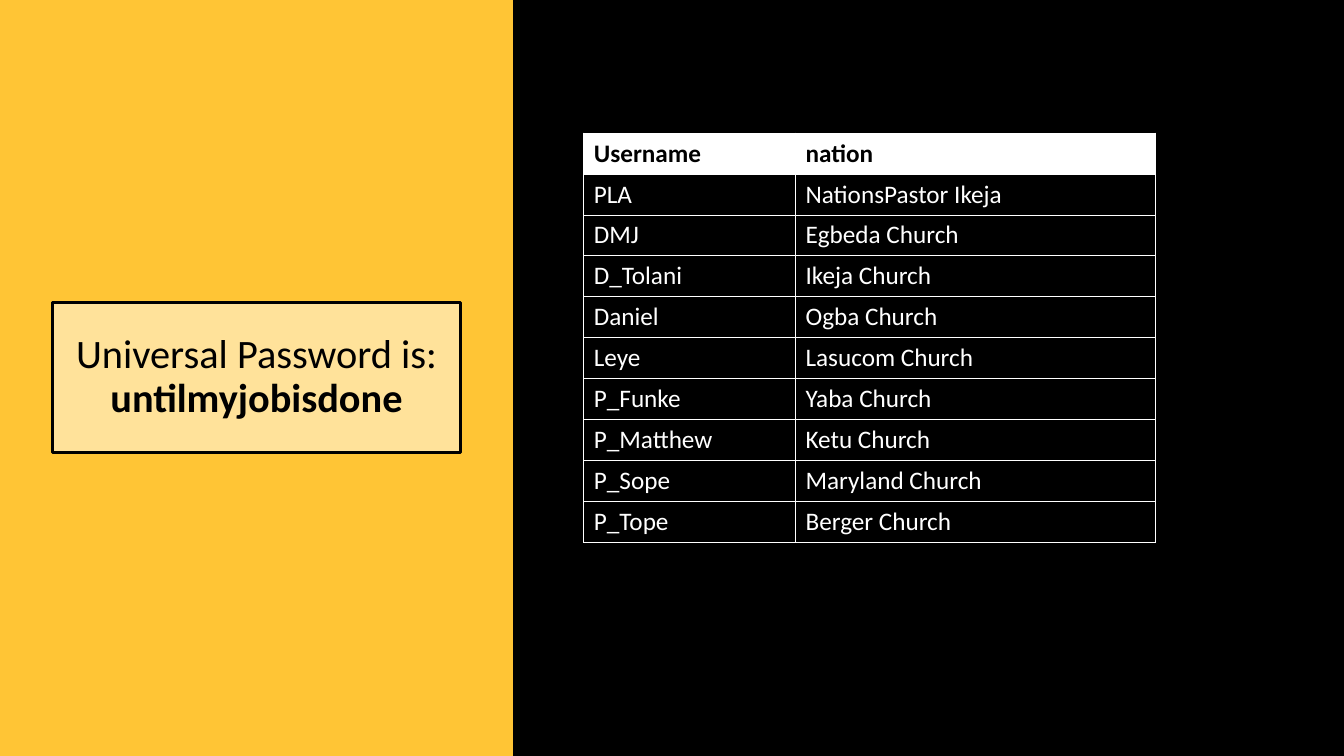
import pptx
import pptx.dml.color
import pptx.enum.shapes
import pptx.enum.text
import pptx.oxml
import pptx.oxml.ns
import pptx.util

RGBColor = pptx.dml.color.RGBColor
BLACK = RGBColor(0x00, 0x00, 0x00)
WHITE = RGBColor(0xFF, 0xFF, 0xFF)
AMBER = RGBColor(0xFF, 0xC5, 0x35)

EMU_PER_PX = 9144  # 100 px to the inch
SLIDE_WIDTH, SLIDE_HEIGHT = 1333, 750
PANEL_WIDTH = 509

ACCOUNTS = [
    ("Username", "nation"),
    ("PLA", "NationsPastor Ikeja"),
    ("DMJ", "Egbeda Church"),
    ("D_Tolani", "Ikeja Church"),
    ("Daniel", "Ogba Church"),
    ("Leye", "Lasucom Church"),
    ("P_Funke", "Yaba Church"),
    ("P_Matthew", "Ketu Church"),
    ("P_Sope", "Maryland Church"),
    ("P_Tope", "Berger Church"),
]


def px(length):
    return pptx.util.Emu(length * EMU_PER_PX)


def add_text(para, text, *, size, color, font, bold=False):
    span = para.add_run()
    span.text = text
    span.font.name = font
    span.font.size = pptx.util.Pt(size)
    span.font.bold = bold
    span.font.color.rgb = color


class SlideBuilder:
    font = "Calibri"
    title_size = 28.8
    table_size = 18
    border_width = 0.5

    def __init__(self, deck):
        self.page = deck.slides.add_slide(deck.slide_layouts[6])

    def background(self, color):
        fill = self.page.background.fill
        fill.solid()
        fill.fore_color.rgb = color

    def rectangle(self, left, top, width, height, color, opacity=100, line=None):
        box = self.page.shapes.add_shape(
            pptx.enum.shapes.MSO_SHAPE.RECTANGLE,
            px(left), px(top), px(width), px(height))
        box.shadow.inherit = False
        box.fill.solid()
        box.fill.fore_color.rgb = color
        if opacity < 100:
            color_node = box.fill._xPr.find(".//" + pptx.oxml.ns.qn("a:srgbClr"))
            alpha = pptx.oxml.parse_xml(
                f'<a:alpha {pptx.oxml.ns.nsdecls("a")} val="{opacity * 1000}"/>')
            color_node.append(alpha)
        if line is None:
            box.line.fill.background()
        else:
            box.line.color.rgb = line
            box.line.width = pptx.util.Pt(2)
        return box

    def title(self, box, label, value):
        frame = box.text_frame
        frame.word_wrap = True
        frame.vertical_anchor = pptx.enum.text.MSO_ANCHOR.MIDDLE
        para = frame.paragraphs[0]
        para.alignment = pptx.enum.text.PP_ALIGN.CENTER
        para.line_spacing = 0.9
        style = {"size": self.title_size, "color": BLACK, "font": self.font}
        add_text(para, label, **style)
        para.add_line_break()
        add_text(para, value, bold=True, **style)

    def border(self, cell, side, color):
        width = pptx.util.Pt(self.border_width)
        cell._tc.get_or_add_tcPr().append(pptx.oxml.parse_xml(
            f'<a:ln{side} {pptx.oxml.ns.nsdecls("a")} w="{width}">'
            f'<a:solidFill><a:srgbClr val="{color}"/></a:solidFill></a:ln{side}>'))

    def table(self, left, top, widths, height, rows):
        grid = self.page.shapes.add_table(
            len(rows), len(widths),
            px(left), px(top), px(sum(widths)), px(height)).table
        for column, width in zip(grid.columns, widths):
            column.width = px(width)
        for row_index, values in enumerate(rows):
            header = row_index == 0
            for column_index, value in enumerate(values):
                cell = grid.cell(row_index, column_index)
                # Outer sides only, with a rule above and below each row
                sides = ["L"] if column_index == 0 else []
                if column_index == len(widths) - 1:
                    sides.append("R")
                for side in sides + ["T", "B"]:
                    self.border(cell, side, WHITE)
                cell.fill.solid()
                cell.fill.fore_color.rgb = WHITE if header else BLACK
                add_text(cell.text_frame.paragraphs[0], value,
                         size=self.table_size, font=self.font, bold=header,
                         color=BLACK if header else WHITE)


def main():
    deck = pptx.Presentation()
    deck.slide_width = px(SLIDE_WIDTH)
    deck.slide_height = px(SLIDE_HEIGHT)
    slide = SlideBuilder(deck)
    slide.background(BLACK)

    # Password panel
    slide.rectangle(0, 0, PANEL_WIDTH, SLIDE_HEIGHT, AMBER)
    password_box = slide.rectangle(52, 300, 405, 149, WHITE, opacity=50, line=BLACK)
    slide.title(password_box, "Universal Password is:", "untilmyjobisdone")

    # Account list
    slide.rectangle(PANEL_WIDTH, 0, SLIDE_WIDTH - PANEL_WIDTH, SLIDE_HEIGHT, BLACK)
    slide.table(579, 132, [210, 357], 406, ACCOUNTS)

    deck.save("out.pptx")


if __name__ == "__main__":
    main()
